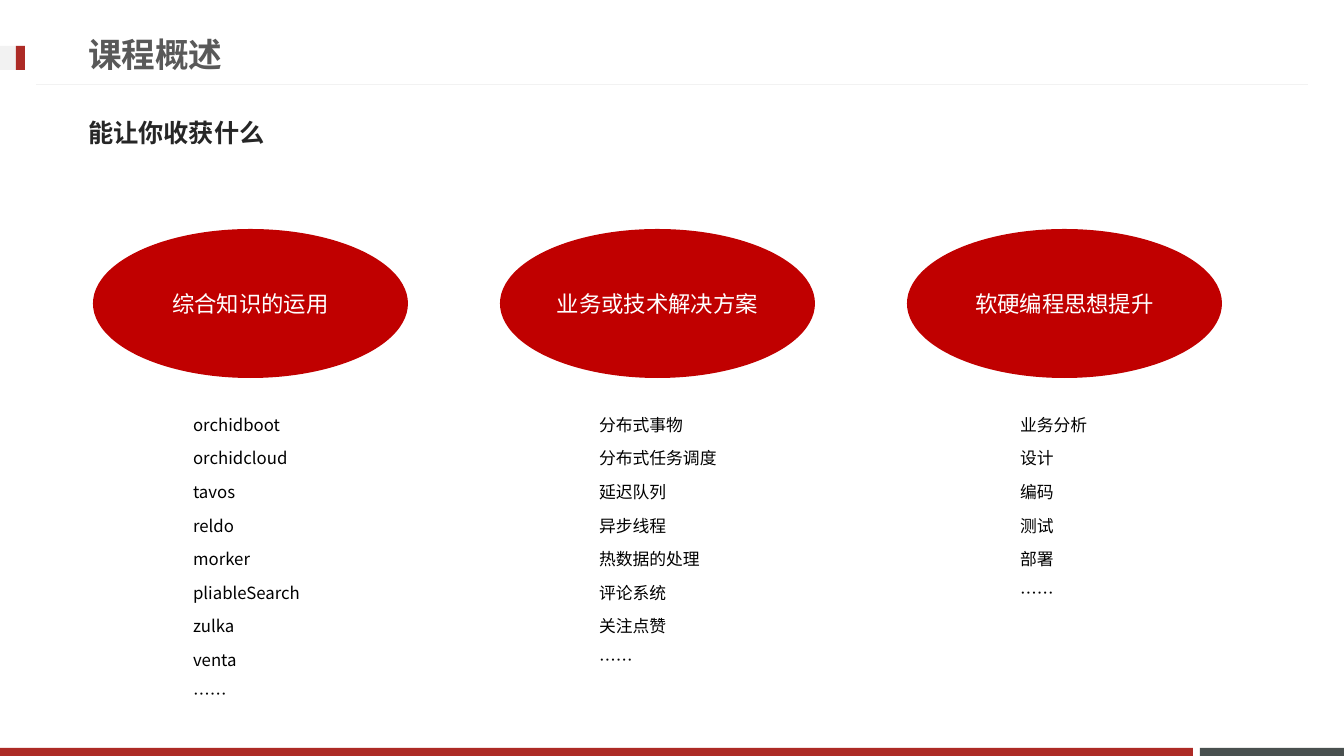
from dataclasses import dataclass

from lxml import etree
from pptx import Presentation
from pptx import util as u
from pptx.dml.color import RGBColor
from pptx.enum import shapes, text
from pptx.oxml.ns import qn


@dataclass(frozen=True)
class Theme:
    red: str = "AD2B26"
    oval: str = "C00000"
    slate: str = "49504F"
    pale: str = "F2F2F2"
    heading: str = "595959"
    subheading: str = "262626"
    ink: str = "000000"
    white: str = "FFFFFF"
    title_size: int = 24
    subtitle_size: int = 18
    oval_size: int = 16
    list_size: int = 12
    list_pitch: int = 24
    cjk_font: str = "Noto Sans CJK JP"


THEME = Theme()

# Oval caption, list left, list width, list items
COLUMNS = [
    ("综合知识的运用", 183, 151,
     ["orchidboot", "orchidcloud", "tavos", "reldo", "morker",
      "pliableSearch", "zulka", "venta", "……"]),
    ("业务或技术解决方案", 589, 165,
     ["分布式事物", "分布式任务调度", "延迟队列", "异步线程",
      "热数据的处理", "评论系统", "关注点赞", "……"]),
    ("软硬编程思想提升", 1010, 165,
     ["业务分析", "设计", "编码", "测试", "部署", "……"]),
]


def px(count):
    return u.Emu(round(count * 914400 / 100.8))


def color(value):
    return RGBColor.from_string(value)


def format_span(span, size, ink, font, bold=False):
    span.font.size = u.Pt(size)
    span.font.bold = bold
    span.font.color.rgb = color(ink)
    span.font.name = font
    east_asian = etree.SubElement(span.font._element, qn("a:ea"))
    east_asian.set("typeface", THEME.cjk_font)


def add_block(page, kind, left, top, width, height, fill):
    block = page.shapes.add_shape(kind, px(left), px(top), px(width), px(height))
    block.shadow.inherit = False
    block.fill.solid()
    block.fill.fore_color.rgb = color(fill)
    block.line.fill.background()
    return block


def add_rule(page, start, end, y):
    rule = page.shapes.add_connector(
        shapes.MSO_CONNECTOR.STRAIGHT, px(start), px(y), px(end), px(y))
    rule.line.color.rgb = color(THEME.pale)
    rule.line.width = u.Pt(0.75)
    etree.SubElement(rule._element.spPr, qn("a:effectLst"))


def add_oval(page, left, caption):
    oval = add_block(page, shapes.MSO_SHAPE.OVAL, left, 229, 315, 149, THEME.oval)
    frame = oval.text_frame
    frame.text = caption
    frame.vertical_anchor = text.MSO_ANCHOR.MIDDLE
    para = frame.paragraphs[0]
    para.alignment = text.PP_ALIGN.CENTER
    format_span(para.runs[0], THEME.oval_size, THEME.white, "Calibri")


def fill_placeholder(box, bounds, lines, size, ink, font,
                     bold=False, anchor=text.MSO_ANCHOR.MIDDLE, pitch=None):
    box.left, box.top, box.width, box.height = map(px, bounds)
    frame = box.text_frame
    frame.text = "\n".join(lines)
    frame.word_wrap = True
    frame.auto_size = text.MSO_AUTO_SIZE.NONE
    frame.vertical_anchor = anchor
    for para in frame.paragraphs:
        para.alignment = text.PP_ALIGN.LEFT
        para.space_before = u.Pt(0)
        if pitch:
            para.line_spacing = u.Pt(pitch)
        # Flush left, without a bullet
        properties = para._p.get_or_add_pPr()
        properties.set("marL", "0")
        properties.set("indent", "0")
        etree.SubElement(properties, qn("a:buNone"))
        format_span(para.runs[0], size, ink, font, bold)


def main():
    deck = Presentation()
    deck.slide_width, deck.slide_height = px(1344), px(756)
    page = deck.slides.add_slide(deck.slide_layouts.get_by_name("Comparison"))
    title, subtitle, *lists = page.placeholders

    # Footer bars, header tab and rule
    for left, top, width, height, fill in [
        (1200, 748, 144, 8, THEME.slate),
        (0, 748, 1193, 8, THEME.red),
        (0, 46, 25, 24, THEME.pale),
        (16, 46, 9, 24, THEME.red),
    ]:
        add_block(page, shapes.MSO_SHAPE.RECTANGLE, left, top, width, height, fill)
    add_rule(page, 1308, 36, 85)

    # Headings
    fill_placeholder(title, (78, 26, 967, 57), ["课程概述"],
                     THEME.title_size, THEME.heading, "Arial", bold=True)
    fill_placeholder(subtitle, (78, 104, 1179, 57), ["能让你收获什么"],
                     THEME.subtitle_size, THEME.subheading, THEME.cjk_font, bold=True)

    # Three columns: an oval above a list
    for index, (box, column) in enumerate(zip(lists, COLUMNS)):
        caption, left, width, items = column
        add_oval(page, 93 + 407 * index, caption)
        fill_placeholder(box, (left, 396, width, 346), items,
                         THEME.list_size, THEME.ink, THEME.cjk_font,
                         anchor=text.MSO_ANCHOR.TOP, pitch=THEME.list_pitch)

    deck.save("out.pptx")


if __name__ == "__main__":
    main()
